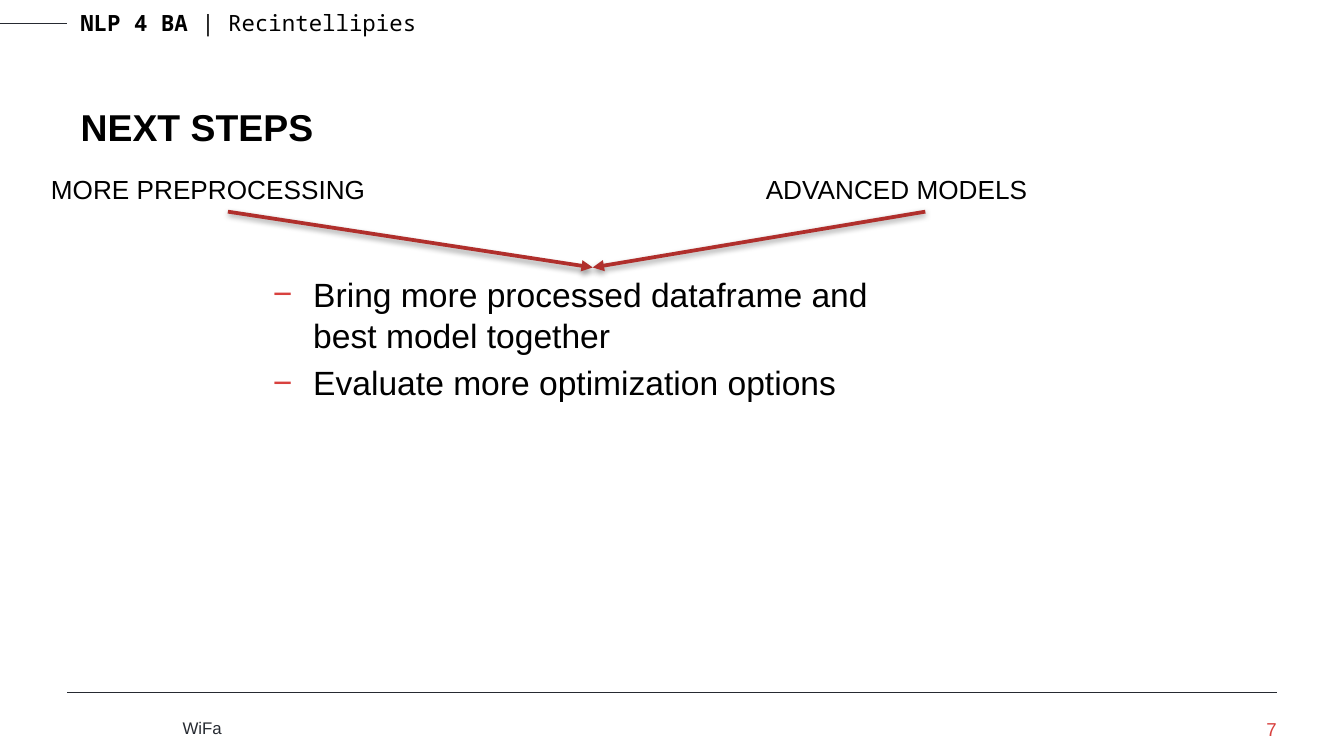
from lxml.etree import SubElement
from pptx import Presentation
from pptx.dml.color import RGBColor
from pptx.enum.shapes import MSO_CONNECTOR
from pptx.enum.text import MSO_ANCHOR, MSO_AUTO_SIZE, PP_ALIGN
from pptx.oxml.ns import qn
from pptx.util import Pt

INK, DARK, RED, WINE = "000000", "262A31", "D8413E", "B02F2C"
TITLE = "NEXT STEPS"
HEAD = [("NLP 4 BA ", True), ("| Recintellipies", False)]
STEPS = [
    "Bring more processed dataframe and best model together",
    "Evaluate more optimization options",
]
INPUTS = [
    ("MORE PREPROCESSING", (20.2, 83.5, 203.8, 29.9)),
    ("ADVANCED MODELS", (403.2, 83.5, 185, 29.9)),
]
RULES = [(0, 12.4, 36, 12.4), (36, 370.8, 684, 370.8)]


def color(code):
    return RGBColor.from_string(code)


def node(root, tag, **attrs):
    return SubElement(root, qn(tag), attrs)


def place(shape, box):
    shape.left, shape.top, shape.width, shape.height = map(Pt, box)


def bullet(para, mark, tint, gap):
    props = para._p.get_or_add_pPr()
    props.set("marL", str(Pt(gap)))
    props.set("indent", str(-Pt(gap)))
    node(node(props, "a:buClr"), "a:srgbClr", val=tint)
    node(props, "a:buFont", typeface="Arial")
    node(props, "a:buChar", char=mark)


def write(text, box, shape=None, size=14, font="Arial", tint=INK, bold=False,
          align=PP_ALIGN.LEFT, anchor=MSO_ANCHOR.TOP, inset=None, mark=None):
    shape = shape or slide.shapes.add_textbox(0, 0, 0, 0)
    place(shape, box)
    frame = shape.text_frame
    frame.word_wrap = True
    frame.auto_size = MSO_AUTO_SIZE.NONE
    frame.vertical_anchor = anchor
    if inset is not None:
        frame.margin_left = frame.margin_right = Pt(inset)
        frame.margin_top = frame.margin_bottom = Pt(inset)
    for i, line in enumerate(text if isinstance(text, list) else [text]):
        para = frame.add_paragraph() if i else frame.paragraphs[0]
        para.alignment = align
        para.space_before = Pt(4 if mark else 0)
        if mark:
            bullet(para, mark, RED, 21.6)
        for part, heavy in line if isinstance(line, list) else [(line, bold)]:
            run = para.add_run()
            run.text = part
            run.font.size, run.font.name, run.font.bold = Pt(size), font, heavy
            run.font.color.rgb = color(tint)
    return shape


def link(ends, tint, width):
    line = slide.shapes.add_connector(MSO_CONNECTOR.STRAIGHT, *map(Pt, ends))
    line.line.color.rgb = color(tint)
    line.line.width = Pt(width)
    return line, node(line._element.spPr, "a:effectLst")


def arrow(start, end):
    line, effect = link((0, 0, 0, 0), WINE, 3)
    line.line.width = Pt(2)
    line.begin_connect(start, 2)
    line.end_connect(end, 0)
    node(line.line._get_or_add_ln(), "a:tailEnd", type="triangle")
    shade = node(effect, "a:outerShdw", blurRad=str(Pt(3.1)),
                 dist=str(Pt(1.6)), dir="5400000", rotWithShape="0")
    node(node(shade, "a:srgbClr", val=INK), "a:alpha", val="38000")


deck = Presentation()
deck.slide_width, deck.slide_height = Pt(720), Pt(405)
slide = deck.slides.add_slide(deck.slide_layouts[1])
title, body = slide.placeholders

for ends in RULES:
    link(ends, DARK, 0.25)
write([HEAD], (36, 1.4, 551.5, 21.6), size=12, font="Noto Sans Mono")
write("WiFa", (90.7, 381, 534.2, 18), size=9, tint=DARK)
write("7", (625.7, 384.5, 58.3, 15.8), size=10, tint=RED,
      align=PP_ALIGN.RIGHT, inset=0)
write(TITLE, (36, 23.8, 648.7, 59.8), shape=title, size=20, bold=True,
      anchor=MSO_ANCHOR.BOTTOM)
write(STEPS, (139, 143.3, 357.1, 235.4), shape=body, size=18, mark="−")
for text, box in INPUTS:
    label = write(text, box, anchor=MSO_ANCHOR.BOTTOM)
    arrow(label, body)

deck.save("out.pptx")
